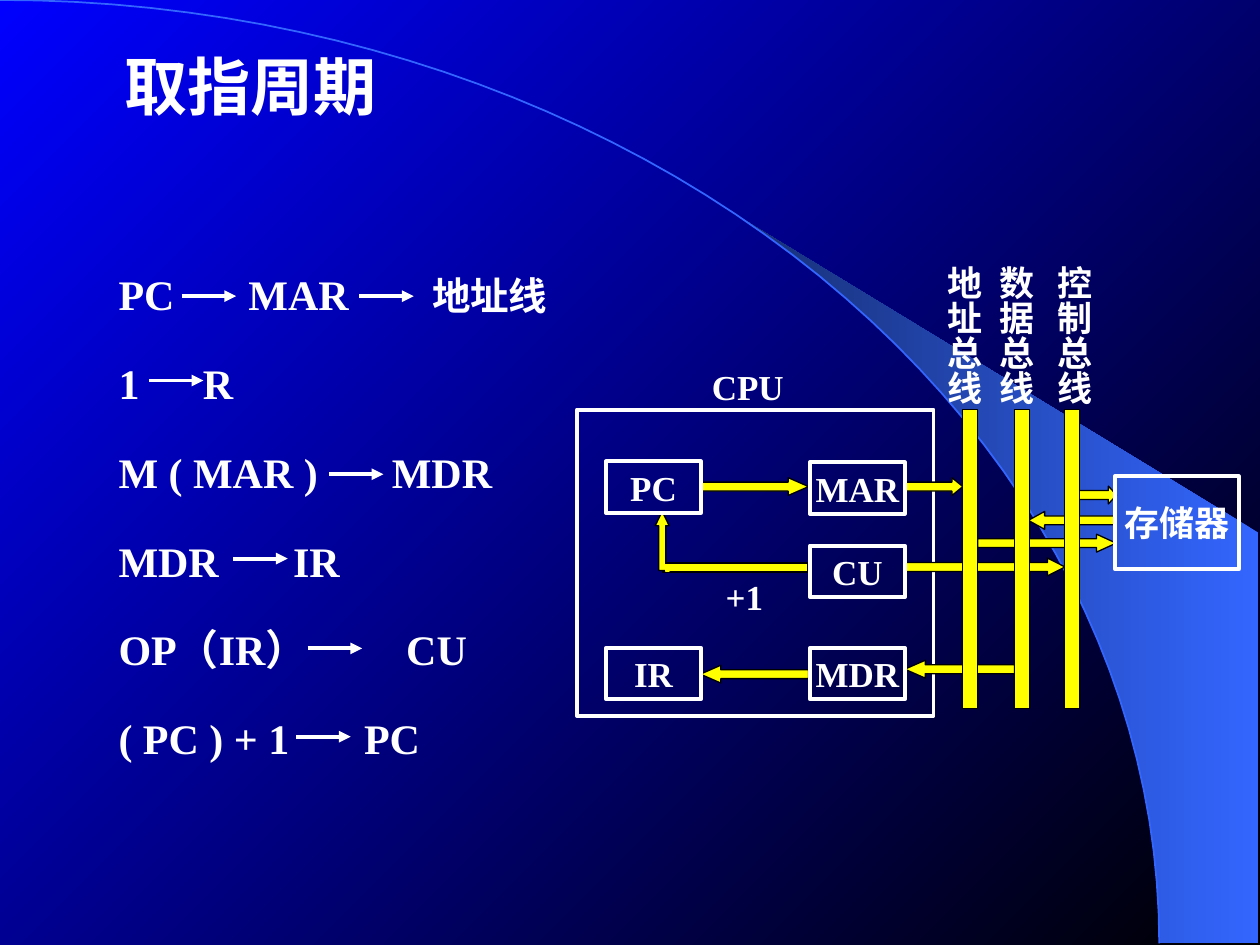
from math import asin, cos, pi, sin

from pptx import Presentation
from pptx.dml.color import RGBColor
from pptx.enum.shapes import MSO_CONNECTOR, MSO_SHAPE
from pptx.enum.text import MSO_ANCHOR, PP_ALIGN
from pptx.oxml.ns import qn
from pptx.util import Cm, Pt
from lxml.etree import SubElement

THEME = {
    "white": RGBColor(255, 255, 255),
    "yellow": RGBColor(255, 255, 0),
    "black": RGBColor(0, 0, 0),
    "blue": RGBColor(0, 0, 255),
    "sky": RGBColor(0x33, 0x66, 0xFF),
    "navy": RGBColor(0x17, 0x2F, 0x75),
    "font": "Times New Roman",
    "title": 36, "step": 24, "word": 22, "label": 20,
    "bold": 2.25, "thin": 0.75, "arc": 1,
}

# All lengths are in centimetres.
WIDE, HIGH = 25.4, 19.05
ARC = (23.37, 19.02)
TIP, EDGE, TURN = 14.96, 25.37, 10.74

TITLE = ("取指周期", (2.51, 1.12, 8.99, 1.19))

# Each step: (text, tab stop, size) pieces, arrow starts, arrow drop
STEPS = [
    ([("PC", 0, "step"), ("MAR", 2.62, "step"), ("地址线", 6.32, "word")],
     [3.66, 7.24], 0.64),
    ([("1", 0, "step"), ("R", 1.7, "step")], [3.0], 0.55),
    ([("M ( MAR )", 0, "step"), ("MDR", 5.51, "step")], [6.63], 0.65),
    ([("MDR", 0, "step"), ("IR", 3.52, "step")], [4.7], 0.56),
    ([("OP（IR）", 0, "step"), ("CU", 5.8, "step")], [6.2], 0.58),
    ([("( PC ) + 1", 0, "step"), ("PC", 4.95, "step")], [5.97], 0.57),
]
LEFT, TOP, PITCH, SPAN, TALL, REACH = 2.39, 5.33, 1.79, 11.99, 1.19, 1.1

CPU = (11.63, 8.26, 7.19, 6.17)
UNITS = [("CU", 16.33, 11.0), ("MAR", 16.33, 9.32), ("PC", 12.22, 9.3),
         ("IR", 12.22, 13.06), ("MDR", 16.33, 13.06)]
UNIT = (1.91, 1.04)
STORE = ("存储器", (22.48, 9.6, 2.49, 1.88))
NOTES = [("+1", (14.38, 11.48, 3.07, 1.12)),
         ("CPU", (14.1, 7.24, 1.96, 1.12))]

# Each bus: name, bar left, label left
BUSES = [("地址总线", 19.41, 18.64), ("数据总线", 20.45, 19.69),
         ("控制总线", 21.46, 20.85)]

# Each flow: left, top, length, head ratio, turn
FLOWS = [
    (18.24, 9.63, 1.17, 0.61, 0), (14.12, 9.63, 2.18, 1.14, 0),
    (18.24, 13.31, 2.21, 1.14, 180), (18.24, 11.25, 3.23, 0.98, 0),
    (19.71, 10.77, 2.79, 1.09, 0), (20.73, 10.31, 1.75, 0.91, 180),
    (21.62, 9.8, 0.89, 0.46, 0), (14.12, 13.41, 2.18, 1.14, 180),
]
THICK = 0.36
BEND = (13.36, 11.35, 2.92, 0.18)
RISE = (13.21, 10.31, 0.28, 1.19)
JOINT = (13.41, 11.38, 0.08, 0.13)


def apply(item, values):
    for name, value in values.items():
        setattr(item, name, value)


def shade(fill, angle, first, last):
    fill.gradient()
    fill.gradient_angle = angle
    for stop, tone in zip(fill.gradient_stops, (first, last)):
        stop.color.rgb = THEME[tone]


def stroke(item, tone, width):
    item.line.color.rgb = THEME[tone]
    item.line.width = Pt(THEME[width])


def draw(kind, place, fill=None, line="white", width="bold"):
    item = shapes.add_shape(kind, *map(Cm, place))
    item.shadow.inherit = False
    if fill:
        item.fill.solid()
        item.fill.fore_color.rgb = THEME[fill]
    else:
        item.fill.background()
    stroke(item, line, width)
    return item


def solid(kind, place, line="black"):
    return draw(kind, place, "yellow", line, "thin")


def write(item, pieces, align=PP_ALIGN.LEFT, **frame):
    """Set (text, tab stop, size) pieces in one paragraph, joined by tabs."""
    apply(item.text_frame, {"word_wrap": True, **frame})
    para = item.text_frame.paragraphs[0]
    para.alignment = align
    stops = [stop for _, stop, _ in pieces if stop]
    if stops:
        tabs = SubElement(para._p.get_or_add_pPr(), qn("a:tabLst"))
        for stop in stops:
            SubElement(tabs, qn("a:tab"), pos=str(Cm(stop)), algn="l")
    for text, stop, size in pieces:
        run = para.add_run()
        run.text = "\t" + text if stop else text
        apply(run.font, {"name": THEME["font"], "size": Pt(THEME[size]),
                         "bold": True})
        run.font.color.rgb = THEME["white"]


def box(place, pieces, **frame):
    item = shapes.add_textbox(*map(Cm, place))
    write(item, pieces, **frame)
    return item


def label(item, text):
    write(item, [(text, 0, "label")], PP_ALIGN.CENTER,
          word_wrap=False, vertical_anchor=MSO_ANCHOR.MIDDLE)


def curve(start, count=48):
    """Points on the quarter ellipse from angle start to its right end."""
    turns = [start + (pi / 2 - start) * i / count for i in range(count + 1)]
    return [(Cm(ARC[0] * sin(t)), Cm(ARC[1] * (1 - cos(t)))) for t in turns]


def trace(points, close):
    build = shapes.build_freeform(*points[0])
    build.add_line_segments(points[1:], close=close)
    item = build.convert_to_shape()
    item.shadow.inherit = False
    return item


def arrow(left, top):
    item = shapes.add_connector(MSO_CONNECTOR.STRAIGHT, Cm(left), Cm(top),
                                Cm(left + REACH), Cm(top))
    stroke(item, "white", "bold")
    SubElement(item.line._get_or_add_ln(), qn("a:tailEnd"), type="triangle")
    SubElement(item._element.spPr, qn("a:effectLst"))


deck = Presentation()
apply(deck, {"slide_width": Cm(WIDE), "slide_height": Cm(HIGH)})
slide = deck.slides.add_slide(deck.slide_layouts[6])
shapes = slide.shapes
shade(slide.background.fill, 135, "black", "blue")

corners = [(Cm(EDGE), Cm(ARC[1])), (Cm(EDGE), Cm(TURN))]
beam = trace(curve(asin(TIP / ARC[0])) + corners, True)
shade(beam.fill, 180, "sky", "navy")
beam.line.fill.background()
rim = trace(curve(0), False)
rim.fill.background()
stroke(rim, "sky", "arc")

flat = {side: 0 for side in
        ("margin_left", "margin_right", "margin_top", "margin_bottom")}
flat["vertical_anchor"] = MSO_ANCHOR.MIDDLE
box(TITLE[1], [(TITLE[0], 0, "title")], **flat)
for row, (pieces, starts, drop) in enumerate(STEPS):
    top = TOP + row * PITCH
    box((LEFT, top, SPAN, TALL), pieces, **flat)
    for start in starts:
        arrow(start, top + drop)

draw(MSO_SHAPE.RECTANGLE, CPU)
solid(MSO_SHAPE.RECTANGLE, BEND)
solid(MSO_SHAPE.UP_ARROW, RISE).adjustments[1] = 1.03
solid(MSO_SHAPE.RECTANGLE, JOINT, "yellow")
for left, top, span, head, turn in FLOWS:
    flow = solid(MSO_SHAPE.RIGHT_ARROW, (left, top, span, THICK))
    flow.adjustments[1] = head
    flow.rotation = turn

for name, left, top in UNITS:
    label(draw(MSO_SHAPE.RECTANGLE, (left, top, *UNIT)), name)
for name, left, side in BUSES:
    solid(MSO_SHAPE.RECTANGLE, (left, CPU[1], 0.3, 6.02))
    tag = box((side, 5.11, 1.35, 3.1), [(name, 0, "label")], word_wrap=False,
              margin_left=Cm(0.13), margin_right=Cm(0.13),
              margin_top=Cm(0.25), margin_bottom=Cm(0.25))
    tag.text_frame._txBody.bodyPr.set("vert", "eaVert")
label(draw(MSO_SHAPE.RECTANGLE, STORE[1]), STORE[0])
for text, place in NOTES:
    box(place, [(text, 0, "label")])

deck.save("out.pptx")
